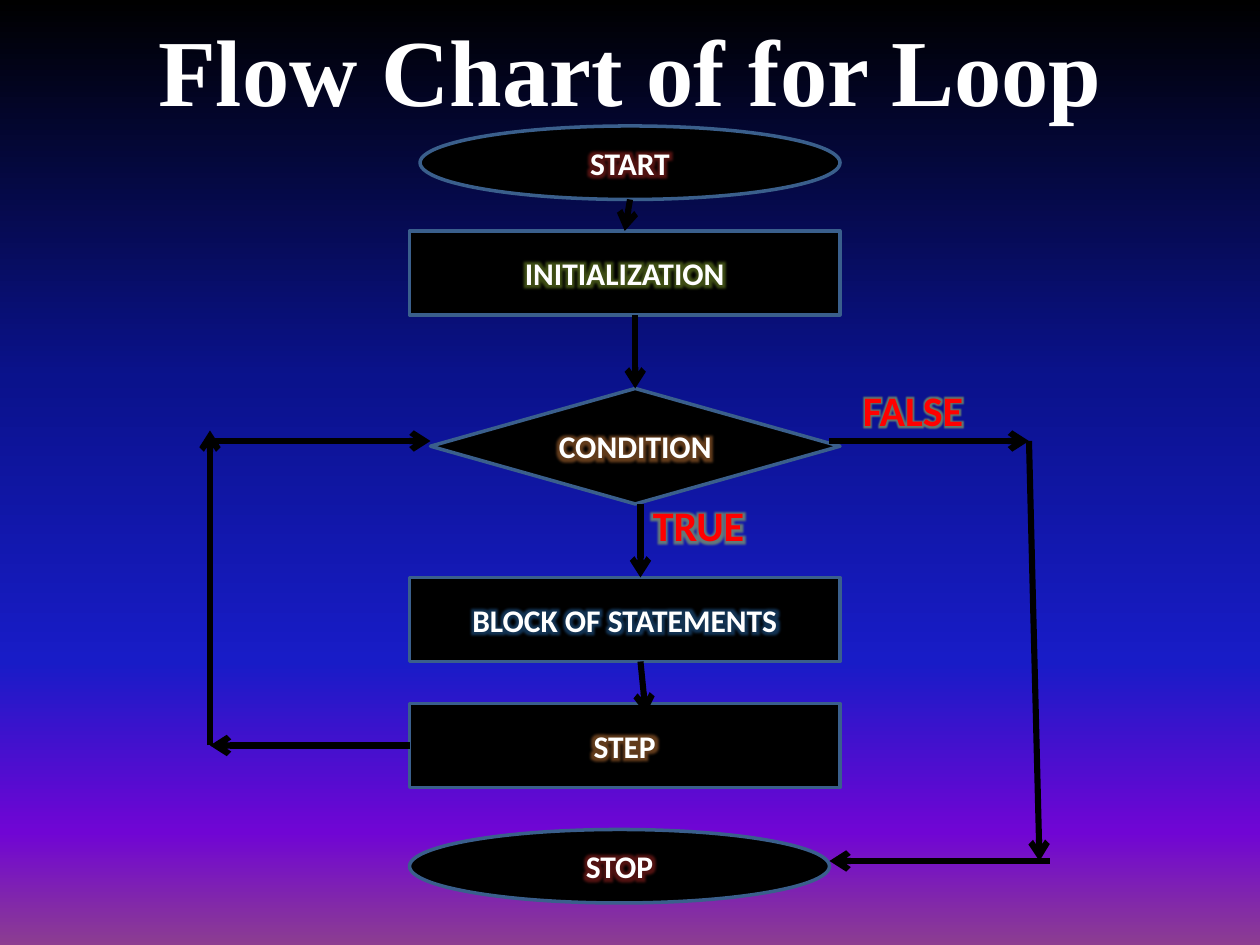
from pptx import Presentation
from pptx.dml.color import RGBColor
from pptx.enum.shapes import MSO_CONNECTOR, MSO_SHAPE
from pptx.enum.text import MSO_ANCHOR, PP_ALIGN
from pptx.oxml.ns import qn
from pptx.util import Pt
from lxml.etree import SubElement

SCALE = 7620  # EMU per px, 120 px to the inch
COLORS = {
    "black": "000000", "white": "FFFFFF", "edge": "3A5F8C", "red": "FF0000",
    "rose": "D0302C", "lime": "9EC436", "amber": "F79646", "sky": "2F80D0",
    "moss": "9BBB59",
}
GRADIENT = [(0, "000000"), (40, "0A128C"), (70, "181CC7"),
            (88, "7005D4"), (100, "8C3D91")]


def px(*sizes):
    return [size * SCALE for size in sizes]


def color(name):
    return RGBColor.from_string(COLORS[name])


def write(frame, text, size=18, font="Calibri", ink="white",
          align=PP_ALIGN.CENTER, anchor=MSO_ANCHOR.MIDDLE,
          glow=None, spread=11, alpha=40):
    frame.word_wrap = True
    frame.vertical_anchor = anchor
    line = frame.paragraphs[0]
    line.alignment = align
    run = line.add_run()
    run.text = text
    run.font.size, run.font.bold = Pt(size), True
    run.font.color.rgb = color(ink)
    if glow:
        # Effects come after the fill and before the font name
        effects = SubElement(run.font._element, qn("a:effectLst"))
        halo = SubElement(effects, qn("a:glow"), rad=str(Pt(spread)))
        tint = SubElement(halo, qn("a:srgbClr"), val=COLORS[glow])
        SubElement(tint, qn("a:alpha"), val=str(alpha * 1000))
    run.font.name = font


class Chart:
    def __init__(self, slide):
        self.slide = slide
        self.edge = Pt(2)
        self.stroke = Pt(3.5)

    def backdrop(self, stops):
        fill = self.slide.background.fill
        fill.gradient()
        fill.gradient_angle = 270
        group = self.slide.element.find(".//" + qn("a:gsLst"))
        for stop in list(group):
            group.remove(stop)
        for place, shade in stops:
            stop = SubElement(group, qn("a:gs"), pos=str(place * 1000))
            SubElement(stop, qn("a:srgbClr"), val=shade)

    def label(self, text, box, **style):
        shape = self.slide.shapes.add_textbox(*px(*box))
        write(shape.text_frame, text, **style)

    def node(self, kind, text, box, glow):
        shape = self.slide.shapes.add_shape(kind, *px(*box))
        shape.shadow.inherit = False
        shape.fill.solid()
        shape.fill.fore_color.rgb = color("black")
        shape.line.color.rgb = color("edge")
        shape.line.width = self.edge
        write(shape.text_frame, text, glow=glow)
        return shape

    def arrow(self, start, end):
        link = self.slide.shapes.add_connector(
            MSO_CONNECTOR.STRAIGHT, *px(*start, *end))
        link.line.color.rgb = color("black")
        link.line.width = self.stroke
        SubElement(link.line._get_or_add_ln(), qn("a:tailEnd"), type="arrow")
        SubElement(link._element.spPr, qn("a:effectLst"))
        return link


def main():
    deck = Presentation()
    deck.slide_width, deck.slide_height = px(1200, 900)
    chart = Chart(deck.slides.add_slide(deck.slide_layouts[6]))
    chart.backdrop(GRADIENT)

    # Title
    chart.label("Flow Chart of for Loop", (60, -10, 1080, 150),
                size=54, font="Times New Roman")

    # Steps
    chart.node(MSO_SHAPE.OVAL, "START", (400, 120, 400, 70), "rose")
    init, block, step = [
        chart.node(MSO_SHAPE.RECTANGLE, text, (390, top, 410, 80), glow)
        for text, top, glow in [("INITIALIZATION", 220, "lime"),
                                ("BLOCK OF STATEMENTS", 550, "sky"),
                                ("STEP", 670, "amber")]]
    chart.node(MSO_SHAPE.OVAL, "STOP", (390, 790, 400, 70), "rose")
    chart.node(MSO_SHAPE.DIAMOND, "CONDITION", (410, 370, 390, 110), "amber")

    # Arrows that meet the middle of a box side
    chart.arrow((600, 190), (595, 220)).end_connect(init, 0)
    chart.arrow((390, 710), (200, 710)).begin_connect(step, 1)

    # Other arrows: down the middle, back on the left, out on the right
    for start, end in [
        ((605, 300), (605, 370)),
        ((610, 480), (610, 550)),
        ((610, 630), (615, 680)),
        ((200, 710), (200, 410)),
        ((200, 420), (410, 420)),
        ((790, 420), (980, 420)),
        ((980, 420), (990, 820)),
        ((1000, 820), (790, 820)),
    ]:
        chart.arrow(start, end)

    # Branch names
    for text, left, top, spread in [("TRUE", 610, 470, 8),
                                    ("FALSE", 810, 360, 5)]:
        chart.label(text, (left, top, 130, 60), size=24, ink="red",
                    align=PP_ALIGN.LEFT, anchor=MSO_ANCHOR.TOP,
                    glow="moss", spread=spread, alpha=60)

    deck.save("out.pptx")


if __name__ == "__main__":
    main()
